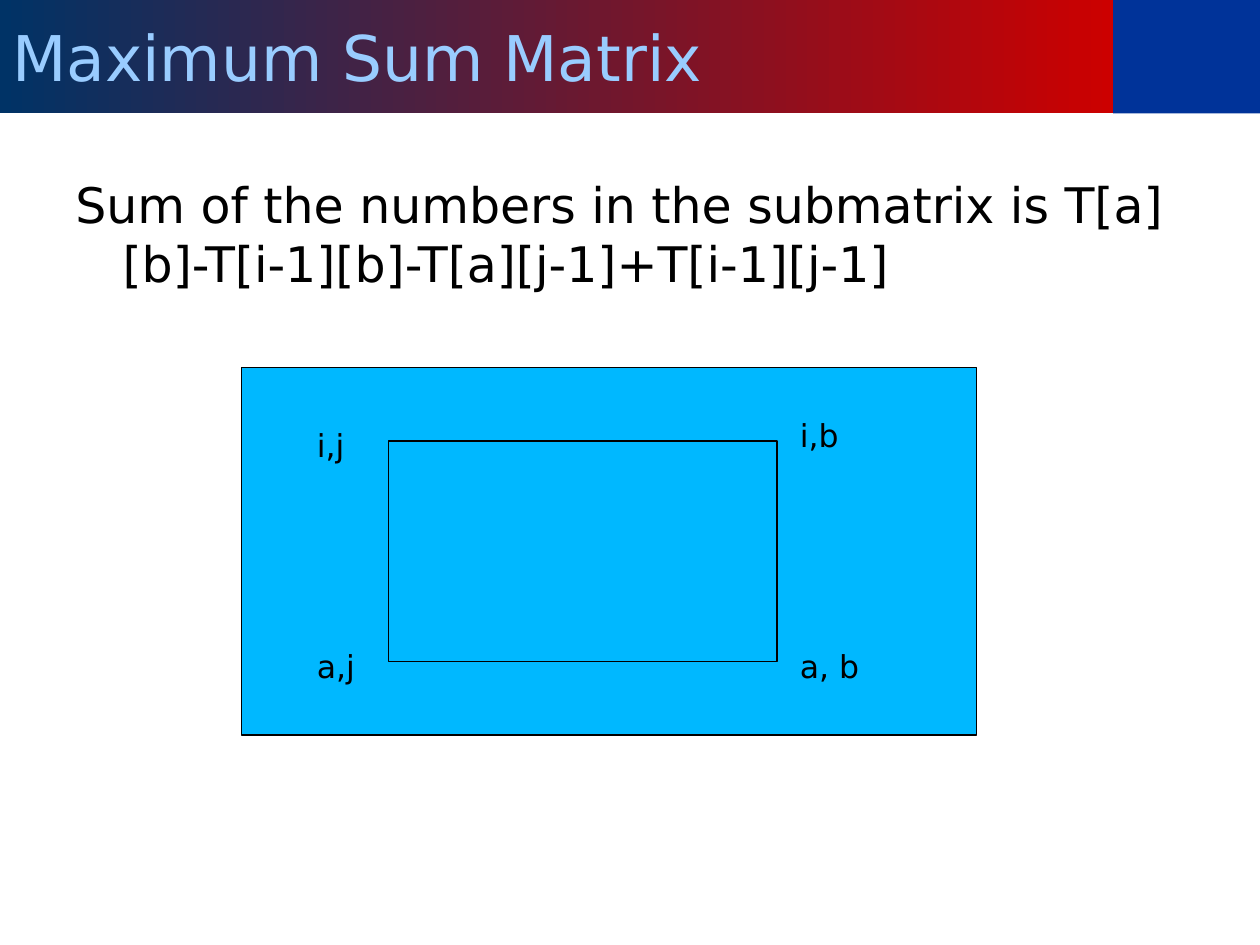
from pptx import Presentation
from pptx.dml.color import RGBColor
from pptx.enum import shapes, text
from pptx.util import Pt

FONT = "DejaVu Sans"
BLACK = RGBColor(0x00, 0x00, 0x00)
CYAN = RGBColor(0x00, 0xB8, 0xFF)
NAVY = RGBColor(0x00, 0x33, 0x66)
RED = RGBColor(0xCC, 0x00, 0x00)
BLUE = RGBColor(0x00, 0x33, 0x99)
LIGHT_BLUE = RGBColor(0x99, 0xCC, 0xFF)

presentation = Presentation()
presentation.slide_width = Pt(720)
presentation.slide_height = Pt(540)
slide = presentation.slides.add_slide(presentation.slide_layouts[6])


def add_rectangle(left, top, width, height, color, outlined=False):
    shape = slide.shapes.add_shape(
        shapes.MSO_SHAPE.RECTANGLE, Pt(left), Pt(top), Pt(width), Pt(height))
    shape.shadow.inherit = False
    shape.fill.solid()
    shape.fill.fore_color.rgb = color
    if outlined:
        shape.line.color.rgb = BLACK
        shape.line.width = Pt(0.75)
    else:
        shape.line.fill.background()
    return shape


def write(shape, wording, size, color=BLACK):
    """Put left-aligned wording in the shape and return its paragraph."""
    paragraph = shape.text_frame.paragraphs[0]
    paragraph.text = wording
    paragraph.alignment = text.PP_ALIGN.LEFT
    font = paragraph.runs[0].font
    font.name = FONT
    font.size = Pt(size)
    font.color.rgb = color
    return paragraph


# Header band
add_rectangle(636, 0, 84, 64.8, BLUE)
title = add_rectangle(0, 0, 636, 64.8, NAVY)
title.fill.gradient()
title.fill.gradient_angle = 0
for stop, color in zip(title.fill.gradient_stops, (NAVY, RED)):
    stop.color.rgb = color
title.text_frame.vertical_anchor = text.MSO_ANCHOR.MIDDLE
write(title, "Maximum Sum Matrix", 36, LIGHT_BLUE)

# Formula with a hanging indent
formula = slide.shapes.add_textbox(Pt(36), Pt(96), Pt(648), Pt(386))
formula.text_frame.word_wrap = True
paragraph = write(
    formula,
    "Sum of the numbers in the submatrix is "
    "T[a][b]-T[i-1][b]-T[a][j-1]+T[i-1][j-1]", 28)
properties = paragraph._p.get_or_add_pPr()
properties.set("marL", str(Pt(27)))
properties.set("indent", str(Pt(-27)))

# Matrix and submatrix
add_rectangle(138, 210, 420, 210, CYAN, outlined=True)
add_rectangle(222, 252, 222, 126, CYAN, outlined=True)

# Corner labels
for wording, left, top, width in (
    ("i,j", 174, 240, 42),
    ("a, b", 450, 366, 54),
    ("a,j", 174, 366, 42),
    ("i,b", 450, 234, 60),
):
    label = slide.shapes.add_textbox(Pt(left), Pt(top), Pt(width), Pt(30))
    label.text_frame.word_wrap = True
    write(label, wording, 18)

presentation.save("out.pptx")
